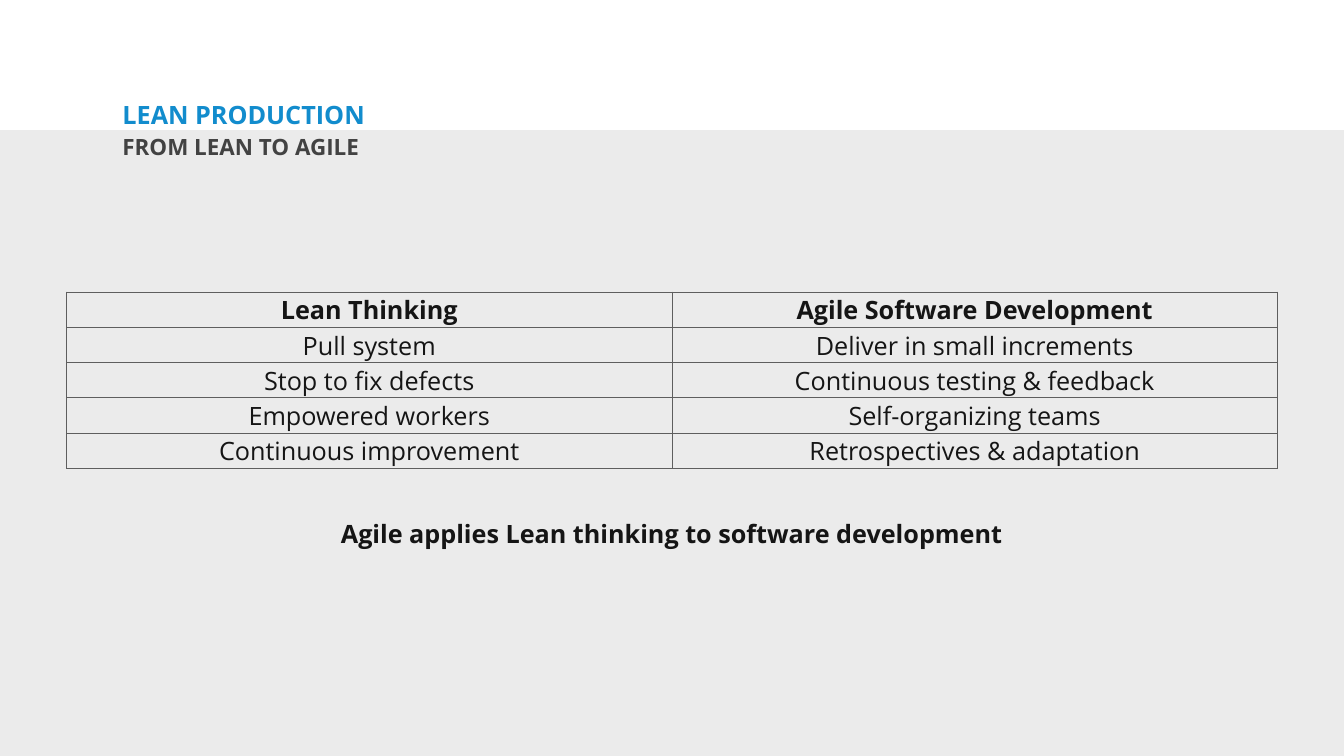
from lxml import etree
from pptx import Presentation
from pptx import util as u
from pptx.dml.color import RGBColor
from pptx.enum import shapes, text
from pptx.oxml.ns import qn

WIDTH, HEIGHT = 26.67, 15
INK, BLUE, GREY, PANEL, RULE = "151515", "128CCD", "424242", "EBEBEB", "5E5E5E"


def color(value):
    return RGBColor.from_string(value)


class LeanSlide:
    font = "Open Sans"

    def __init__(self, presentation):
        self.slide = presentation.slides.add_slide(presentation.slide_layouts[6])

    def area(self, left, top, width, height):
        return (u.Inches(left * WIDTH), u.Inches(top * HEIGHT),
                u.Inches(width * WIDTH), u.Inches(height * HEIGHT))

    def add_words(self, paragraph, words, size=36, ink=INK, bold=True, align=text.PP_ALIGN.CENTER):
        paragraph.alignment = align
        run = paragraph.add_run()
        run.text = words
        run.font.name = self.font
        run.font.size = u.Pt(size)
        run.font.bold = bold
        run.font.color.rgb = color(ink)

    def panel(self, area, fill):
        shape = self.slide.shapes.add_shape(shapes.MSO_SHAPE.RECTANGLE, *self.area(*area))
        shape.shadow.inherit = False
        shape.fill.solid()
        shape.fill.fore_color.rgb = color(fill)
        shape.line.fill.background()

    def label(self, area, words, inset=0.06, anchor=text.MSO_ANCHOR.MIDDLE, spacing=1.0, **style):
        frame = self.slide.shapes.add_textbox(*self.area(*area)).text_frame
        frame.word_wrap = True
        frame.vertical_anchor = anchor
        frame.margin_left = frame.margin_right = u.Inches(inset)
        frame.margin_top = frame.margin_bottom = u.Inches(inset)
        frame.paragraphs[0].line_spacing = spacing
        self.add_words(frame.paragraphs[0], words, **style)

    def borders(self, cell):
        properties = cell._tc.get_or_add_tcPr()
        for position, side in enumerate(("a:lnL", "a:lnR", "a:lnT", "a:lnB")):
            line = etree.Element(qn(side), w=str(u.Pt(1)))
            fill = etree.SubElement(line, qn("a:solidFill"))
            etree.SubElement(fill, qn("a:srgbClr"), val=RULE)
            properties.insert(position, line)

    def table(self, area, rows):
        frame = self.slide.shapes.add_table(len(rows), len(rows[0]), *self.area(*area))
        table = frame.table
        table.horz_banding = False
        for row, words in enumerate(rows):
            for column, phrase in enumerate(words):
                cell = table.cell(row, column)
                cell.fill.background()
                cell.vertical_anchor = text.MSO_ANCHOR.MIDDLE
                cell.margin_left = cell.margin_right = cell.margin_bottom = 0
                cell.margin_top = u.Inches(0.02)
                self.add_words(cell.text_frame.paragraphs[0], phrase, bold=row == 0)
                self.borders(cell)


def main():
    presentation = Presentation()
    presentation.slide_width = u.Inches(WIDTH)
    presentation.slide_height = u.Inches(HEIGHT)
    page = LeanSlide(presentation)
    left = text.PP_ALIGN.LEFT
    page.panel((0, 2.58 / HEIGHT, 1, 1 - 2.58 / HEIGHT), PANEL)
    page.label((2.37 / WIDTH, 2.05 / HEIGHT, 16.09 / WIDTH, 0.56 / HEIGHT), "LEAN PRODUCTION",
               spacing=0.8, ink=BLUE, align=left)
    page.label((2.37 / WIDTH, 2.65 / HEIGHT, 23.13 / WIDTH, 1.18 / HEIGHT), "FROM LEAN TO AGILE",
               anchor=text.MSO_ANCHOR.TOP, spacing=0.9, size=32, ink=GREY, align=left)
    page.label((5.2 / WIDTH, 10.22 / HEIGHT, 16.26 / WIDTH, 0.71 / HEIGHT),
               "Agile applies Lean thinking to software development", inset=0)
    page.table((1.32 / WIDTH, 5.79 / HEIGHT, 24.03 / WIDTH, 3.5 / HEIGHT), [
        ("Lean Thinking", "Agile Software Development"),
        ("Pull system", "Deliver in small increments"),
        ("Stop to fix defects", "Continuous testing & feedback"),
        ("Empowered workers", "Self-organizing teams"),
        ("Continuous improvement", "Retrospectives & adaptation"),
    ])
    presentation.save("out.pptx")


if __name__ == "__main__":
    main()
